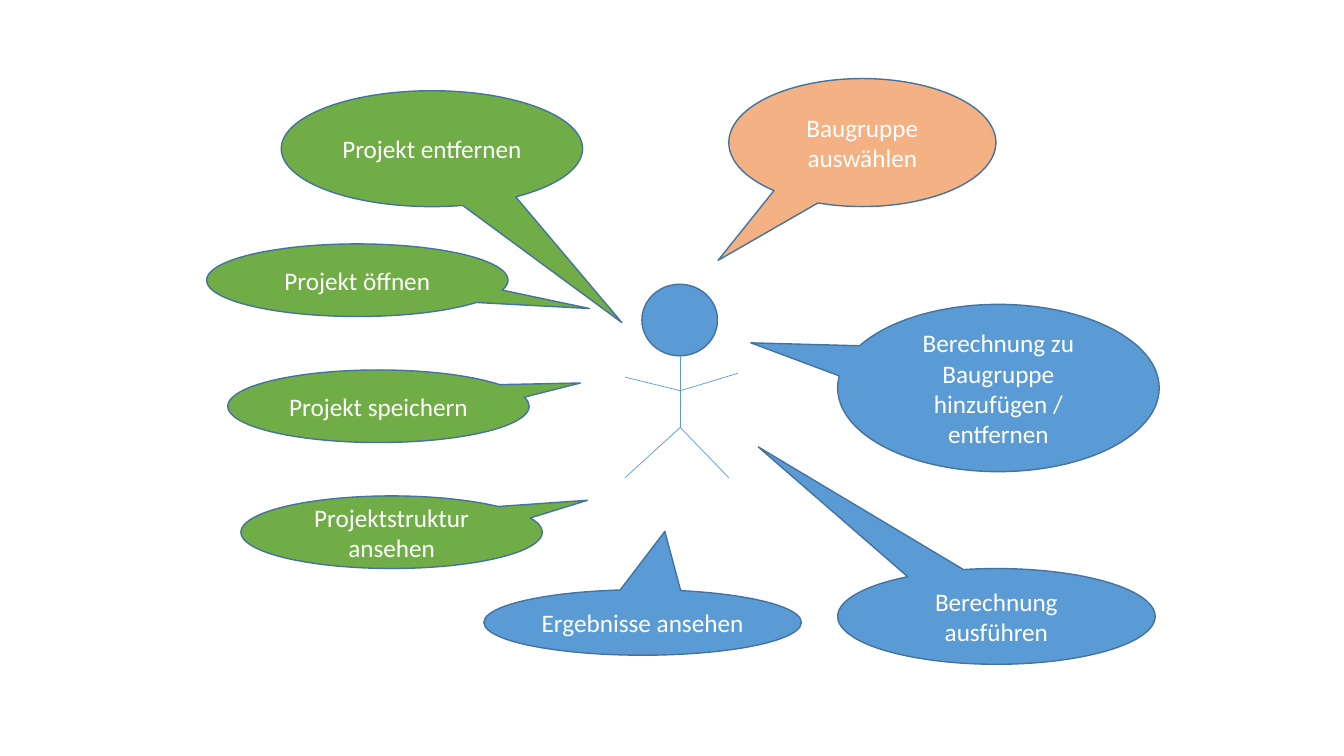
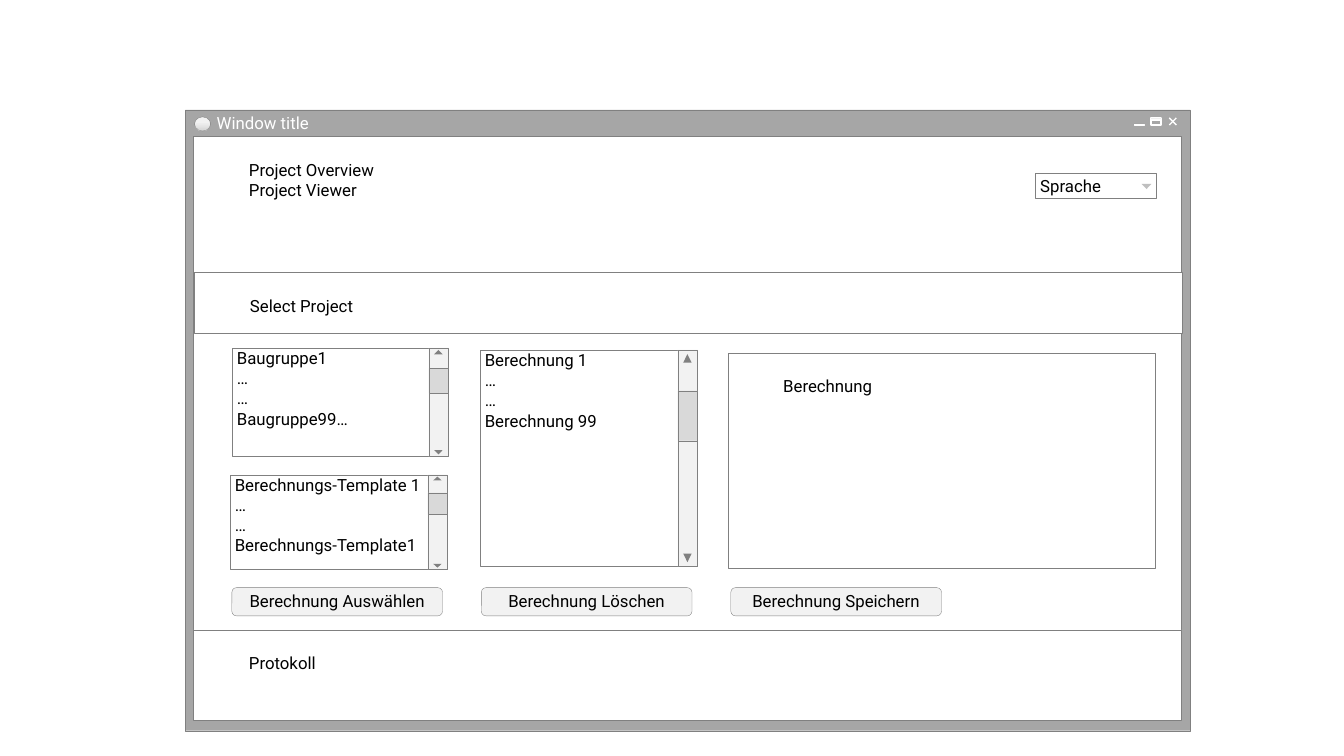
from typing import NamedTuple

from lxml.etree import SubElement
from pptx import Presentation
from pptx.dml.color import RGBColor
from pptx.enum.shapes import MSO_CONNECTOR as CONNECTOR, MSO_SHAPE as SHAPE
from pptx.enum.text import MSO_ANCHOR as ANCHOR, PP_ALIGN as ALIGN
from pptx.oxml.ns import qn
from pptx.util import Inches, Pt

CELL = Inches(0.1)  # side of one grid cell: all places count columns and rows
COLUMNS, ROWS = 133.33, 75
COLORS = {
    "white": "FFFFFF", "black": "000000",
    "blue": "5B9BD5", "outline": "43739E", "green": "70AD47", "orange": "F4B183",
    "frame": "A6A6A6", "edge": "808080", "button": "F2F2F2", "thumb": "D9D9D9",
    "dropdown": "BFBFBF", "glyph": "919191",
}
BUBBLE_TEXT = {"name": "Calibri", "size": Pt(18)}
WINDOW_TEXT = {"name": "Roboto", "size": Pt(12)}
HAIRLINE = ("edge", 0.25)


class Box(NamedTuple):
    """A rectangle on the grid, in columns and rows."""
    left: float
    top: float
    width: float
    height: float

    def place(self, left, top, width, height):
        """Return a box offset by columns and rows from this one."""
        return Box(self.left + left, self.top + top, width, height)

    def portion(self, left, top, width, height):
        """Return a box given as shares of this one."""
        return self.place(left * self.width, top * self.height,
                          width * self.width, height * self.height)

    def point(self, across, down):
        """Return a grid point given as shares of this box."""
        return self.left + across * self.width, self.top + down * self.height


def cells(values):
    """Turn grid values into slide lengths."""
    return [round(value * CELL) for value in values]


def rgb(name):
    """Look up a named colour."""
    return RGBColor.from_string(COLORS[name])


def apply(target, values):
    """Set attributes from a dict of format values."""
    for name, value in values.items():
        setattr(target, name, value)


def add_figure(slide, kind, box, fill=None, line=None, rotation=0):
    """Draw a preset shape with its fill and (colour, points) outline."""
    shape = slide.shapes.add_shape(kind, *cells(box))
    shape.shadow.inherit = False
    shape.rotation = rotation
    if fill:
        shape.fill.solid()
        shape.fill.fore_color.rgb = rgb(fill)
    else:
        shape.fill.background()
    if line:
        shape.line.color.rgb = rgb(line[0])
        shape.line.width = Pt(line[1])
    else:
        shape.line.fill.background()
    return shape


def add_line(slide, start, end, color, points):
    """Draw a straight line without shadow between two grid points."""
    connector = slide.shapes.add_connector(
        CONNECTOR.STRAIGHT, *cells(start + end))
    connector.line.color.rgb = rgb(color)
    connector.line.width = Pt(points)
    SubElement(connector._element.spPr, qn("a:effectLst"))


def write(shape, lines, font, color, insets=(1, 0.5, 1, 0.5),
          anchor=ANCHOR.MIDDLE, align=ALIGN.LEFT, wrap=True):
    """Fill a shape with paragraphs; insets run left, top, right, bottom."""
    frame = shape.text_frame
    names = ("margin_left", "margin_top", "margin_right", "margin_bottom")
    apply(frame, dict(zip(names, cells(insets))))
    apply(frame, {"vertical_anchor": anchor, "word_wrap": wrap})
    for index, text in enumerate(lines):
        paragraph = frame.add_paragraph() if index else frame.paragraphs[0]
        paragraph.alignment = align
        run = paragraph.add_run()
        run.text = text
        apply(run.font, font)
        run.font.color.rgb = rgb(color)


def add_actor(slide, box):
    """Draw the stick figure of the user."""
    add_figure(slide, SHAPE.OVAL, box.portion(0.15, 0, 0.67, 0.37),
               "blue", ("outline", 1))
    neck, shoulder, hip = ((0.49, share) for share in (0.37, 0.55, 0.74))
    limbs = [(neck, hip), (hip, (0, 1)), (hip, (0.92, 1)),
             (shoulder, (0, 0.48)), (shoulder, (1, 0.46))]
    for start, end in limbs:
        add_line(slide, box.point(*start), box.point(*end), "blue", 0.5)


def add_bubble(slide, box, text, fill, tip):
    """Draw a speech bubble; tip is its offset from the centre in shares."""
    bubble = add_figure(slide, SHAPE.OVAL_CALLOUT, box, fill, ("outline", 1))
    for index, share in enumerate(tip):
        bubble.adjustments[index] = share
    write(bubble, [text], BUBBLE_TEXT, "white", align=ALIGN.CENTER)


def add_title_bar(slide, window):
    """Draw the window's icon, title and control glyphs."""
    title = slide.shapes.add_textbox(*cells(window.place(2.6, 0.3, 10.9, 2.1)))
    write(title, ["Window title"], WINDOW_TEXT, "white",
          (0.5, 0.2, 1, 0.3), wrap=False)
    icon = add_figure(slide, SHAPE.OVAL, window.place(0.9, 0.7, 1.6, 1.4),
                      "button", HAIRLINE)
    icon.fill.gradient()
    icon.fill.gradient_angle = 270
    for stop, color, position in zip(icon.fill.gradient_stops,
                                     ("button", "thumb"), (0.36, 0.91)):
        stop.color.rgb = rgb(color)
        stop.position = position
    close = window.place(97.6, 0.8, 0.7, 0.7)
    add_line(slide, close.point(0, 0), close.point(1, 1), "white", 1)
    add_line(slide, close.point(1, 0), close.point(0, 1), "white", 1)
    add_figure(slide, SHAPE.RECTANGLE, window.place(95.8, 0.8, 1, 0.7),
               line=("white", 1))
    for left, top in ((95.8, 0.9), (94.1, 1.4)):
        add_figure(slide, SHAPE.RECTANGLE, window.place(left, top, 1, 0.1),
                   "glyph", ("white", 0.25))


def add_panel(slide, box, *lines):
    """Draw a white panel with indented text, one line below its top."""
    panel = add_figure(slide, SHAPE.RECTANGLE, box, "white", HAIRLINE)
    write(panel, lines, WINDOW_TEXT, "black", (5.5, 2.3, 0, 0), ANCHOR.TOP)


def add_dropdown(slide, box, text):
    """Draw a closed drop-down field."""
    field = add_figure(slide, SHAPE.RECTANGLE, box, "white", HAIRLINE)
    write(field, [text], WINDOW_TEXT, "black", (0.5,) * 4)
    add_figure(slide, SHAPE.ISOSCELES_TRIANGLE,
               box.portion(0.88, 0.42, 0.08, 0.2), "dropdown", rotation=180)


def add_list(slide, box, first, last):
    """Draw a list field with its scroll bar."""
    field = add_figure(slide, SHAPE.RECTANGLE, box, "white", HAIRLINE)
    write(field, [first, "…", "…", last], WINDOW_TEXT, "black",
          (0.5, 0, 0, 0.2), ANCHOR.TOP)
    bar = box.place(box.width - 1.95, 0, 1.95, box.height)
    add_figure(slide, SHAPE.RECTANGLE, bar, "button", HAIRLINE)
    add_figure(slide, SHAPE.RECTANGLE, bar.portion(0, 0.19, 1, 0.23),
               "thumb", HAIRLINE)
    for top, rotation in ((0.02, 0), (0.94, 180)):
        add_figure(slide, SHAPE.ISOSCELES_TRIANGLE,
                   bar.portion(0.27, top, 0.43, 0.04), "edge",
                   rotation=rotation)


def add_button(slide, box, text):
    """Draw a push button with a centred label."""
    button = add_figure(slide, SHAPE.ROUNDED_RECTANGLE, box, "button", HAIRLINE)
    write(button, [text], WINDOW_TEXT, "black", (1, 0, 1, 0.1),
          align=ALIGN.CENTER)


def build_use_cases(slide, page):
    """Surround the user with the things they want to do."""
    add_actor(slide, page.place(62, 28.2, 11.2, 19.2))
    bubbles = [
        ((27.9, 9, 29.9, 11.5), "Projekt entfernen", "green", (0.63, 1.5)),
        ((72.3, 7.8, 26.5, 12.7), "Baugruppe auswählen", "orange",
         (-0.54, 0.92)),
        ((48, 58.5, 31.5, 6.5), "Ergebnisse ansehen", "blue", (0.07, -1.39)),
        ((83.1, 30.2, 31.9, 16.6),
         "Berechnung zu Baugruppe hinzufügen / entfernen", "blue",
         (-0.77, -0.27)),
        ((20.5, 24.2, 29.9, 7.2), "Projekt öffnen", "green", (0.77, 0.39)),
        ((22.6, 36.7, 29.9, 7.2), "Projekt speichern", "green", (0.67, -0.32)),
        ((23.9, 49.2, 29.9, 7.2), "Projektstruktur ansehen", "green",
         (0.65, -0.44)),
        ((83.1, 56.4, 31.5, 9.5), "Berechnung ausführen", "blue",
         (-0.75, -1.77)),
    ]
    for place, text, fill, tip in bubbles:
        add_bubble(slide, page.place(*place), text, fill, tip)


def build_window(slide, page):
    """Sketch the main window of the application."""
    window = page.place(18.4, 10.9, 99.7, 61.6)
    add_figure(slide, SHAPE.RECTANGLE, window, "frame", HAIRLINE)
    add_figure(slide, SHAPE.RECTANGLE, window.place(0.8, 2.7, 98, 57.8),
               "white", HAIRLINE)
    add_title_bar(slide, window)
    add_panel(slide, window.place(0.8, 2.6, 98, 13.8),
              "Project Overview", "Project Viewer")
    add_panel(slide, window.place(0.9, 16.1, 98, 6.1), "Select Project")
    add_panel(slide, window.place(0.8, 51.6, 98, 9), "Protokoll")
    add_panel(slide, window.place(53.8, 24.1, 42.4, 21.4), "Berechnung")
    add_dropdown(slide, window.place(84.3, 6.3, 12, 2.5), "Sprache")
    lists = [
        ((4.6, 23.6, 21.5, 10.8), "Baugruppe1", "Baugruppe99…"),
        ((4.4, 36.2, 21.6, 9.4), "Berechnungs-Template 1",
         "Berechnungs-Template1"),
        ((29.2, 23.8, 21.6, 21.5), "Berechnung 1", "Berechnung 99"),
    ]
    for place, first, last in lists:
        add_list(slide, window.place(*place), first, last)
    for column, action in enumerate(("Auswählen", "Löschen", "Speichern")):
        add_button(slide, window.place(4.6 + column * 24.75, 47.4, 20.9, 2.8),
                   f"Berechnung {action}")


def main():
    """Build both slides and save the presentation."""
    presentation = Presentation()
    width, height = cells((COLUMNS, ROWS))
    apply(presentation, {"slide_width": width, "slide_height": height})
    blank = presentation.slide_layouts[6]
    page = Box(0, 0, COLUMNS, ROWS)
    for build in (build_use_cases, build_window):
        build(presentation.slides.add_slide(blank), page)
    presentation.save("out.pptx")


main()
